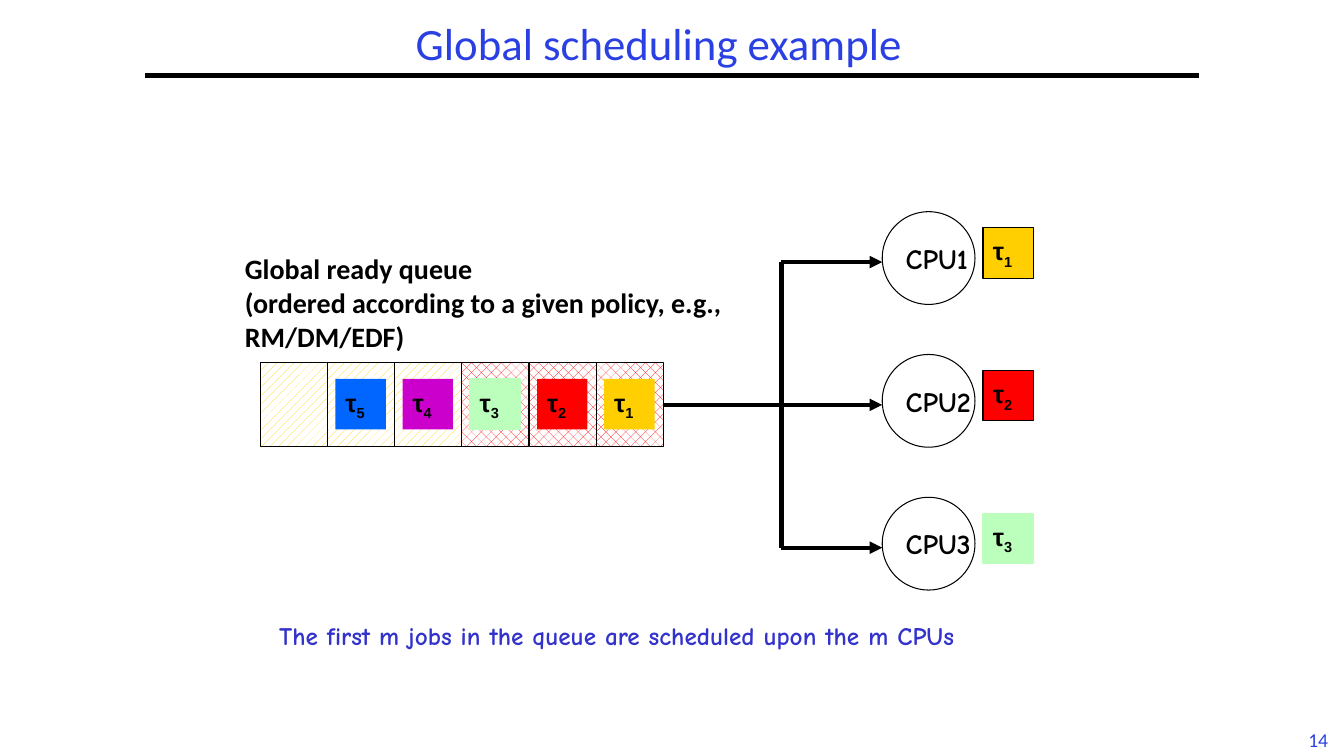
"""Build a slide on global scheduling: one ready queue that feeds three CPUs."""
from dataclasses import dataclass
from typing import Optional

from lxml.etree import SubElement
from pptx import Presentation
from pptx.dml.color import RGBColor as Rgb
from pptx.enum.dml import MSO_PATTERN as Pattern
from pptx.enum.shapes import MSO_CONNECTOR as Link, MSO_SHAPE as Form
from pptx.enum.text import MSO_ANCHOR as Anchor, PP_ALIGN as Align
from pptx.oxml.ns import qn
from pptx.util import Inches, Pt

COLORS = {
    "black": "000000", "white": "FFFFFF", "title": "2A40E2", "note": "3333CC",
    "gold": "FFCF01", "red": "FF0000", "mint": "BCFFBC",
    "purple": "CC00CC", "blue": "0066FF",
}
TASKS = {1: "gold", 2: "red", 3: "mint", 4: "purple", 5: "blue"}
CPUS = 3
SLOTS = 6
SLOT_W = 2 / 3
QUEUE_X, QUEUE_Y = 2.58, 3.6
CPU_X, CPU_Y, CPU_GAP = 8.75, 2.1, 17 / 12
FORK_X = 7.75


@dataclass
class Box:
    x: float
    y: float
    w: float
    h: float


@dataclass
class Label:
    text: str
    box: Box
    size: int
    font: str
    color: str
    bold: bool = False
    align: Align = Align.LEFT
    anchor: Anchor = Anchor.TOP
    wrap: bool = True
    spacing: Optional[float] = None


@dataclass
class Wire:
    x1: float
    y1: float
    x2: float
    y2: float
    arrow: bool = False


LABELS = [
    Label("14", Box(12.86, 7.17, 0.43, 0.33), 14, "Calibri", "title",
          align=Align.CENTER, wrap=False),
    Label("Global scheduling example", Box(2.58, -0.17, 7.91, 1.25), 32,
          "Calibri", "title", align=Align.CENTER, anchor=Anchor.MIDDLE, spacing=0.9),
    Label("Global ready queue\n(ordered according to a given policy, e.g., RM/DM/EDF)",
          Box(2.33, 2.45, 5.17, 1.11), 20, "Calibri", "black", bold=True),
    Label("The first m jobs in the queue are scheduled upon the m CPUs",
          Box(2.67, 6.1, 8, 0.4), 18, "Comic Neue", "note", bold=True),
]


def tint(name: str) -> Rgb:
    """Return the named colour."""
    return Rgb.from_string(COLORS[name])


def style(frame, size: int, font: str, color: str, bold: bool) -> None:
    """Format every run of a text frame."""
    for para in frame.paragraphs:
        for run in para.runs:
            run.font.size = Pt(size)
            run.font.name = font
            run.font.bold = bold
            run.font.color.rgb = tint(color)


def add_label(slide, label: Label) -> None:
    """Add a text box."""
    box = label.box
    shape = slide.shapes.add_textbox(*map(Inches, (box.x, box.y, box.w, box.h)))
    frame = shape.text_frame
    frame.text = label.text
    frame.word_wrap = label.wrap
    frame.vertical_anchor = label.anchor
    for para in frame.paragraphs:
        para.alignment = label.align
        para.line_spacing = label.spacing
    style(frame, label.size, label.font, label.color, label.bold)


def add_form(slide, form: Form, box: Box, fill: str, line: Optional[str] = "black"):
    """Add a plain filled shape whose text starts at the left."""
    shape = slide.shapes.add_shape(form, *map(Inches, (box.x, box.y, box.w, box.h)))
    shape.shadow.inherit = False
    shape.fill.solid()
    shape.fill.fore_color.rgb = tint(fill)
    if line:
        shape.line.color.rgb = tint(line)
        shape.line.width = Pt(0.75)
    else:
        shape.line.fill.background()
    frame = shape.text_frame
    frame.word_wrap = False
    frame.vertical_anchor = Anchor.MIDDLE
    frame.paragraphs[0].alignment = Align.LEFT
    return shape


def add_task(slide, task: int, x: float, y: float, line: Optional[str]) -> None:
    """Add the coloured tile of one task."""
    edge = "mint" if TASKS[task] == "mint" else line
    shape = add_form(slide, Form.RECTANGLE, Box(x, y, 0.5, 0.5), TASKS[task], edge)
    para = shape.text_frame.paragraphs[0]
    para.text = "τ"
    index = para.add_run()
    index.text = str(task)
    style(shape.text_frame, 18, "Arial", "black", True)
    index._r.get_or_add_rPr().set("baseline", "-25000")


def add_slot(slide, place: int) -> None:
    """Add one queue slot, with its task if it holds one."""
    x = QUEUE_X + place * SLOT_W
    task = SLOTS - place
    shape = add_form(slide, Form.RECTANGLE, Box(x, QUEUE_Y, SLOT_W, 0.83), "white")
    chosen = task <= CPUS
    shape.fill.patterned()
    shape.fill.pattern = Pattern.PERCENT_30 if chosen else Pattern.PERCENT_20
    shape.fill.fore_color.rgb = tint("red" if chosen else "gold")
    shape.fill.back_color.rgb = tint("white")
    if task in TASKS:
        add_task(slide, task, x + 0.08, QUEUE_Y + 0.16, None)


def add_cpu(slide, row: int) -> None:
    """Add one CPU and the task it runs."""
    y = CPU_Y + row * CPU_GAP
    shape = add_form(slide, Form.OVAL, Box(CPU_X, y, 0.92, 0.92), "white")
    shape.text_frame.text = f"CPU{row + 1}"
    style(shape.text_frame, 20, "Comic Neue", "black", True)
    add_task(slide, row + 1, CPU_X + 1, y + 0.16, "black")


def add_wire(slide, wire: Wire) -> None:
    """Add a thick black line, with an arrowhead if asked."""
    ends = map(Inches, (wire.x1, wire.y1, wire.x2, wire.y2))
    link = slide.shapes.add_connector(Link.STRAIGHT, *ends)
    link.line.color.rgb = tint("black")
    link.line.width = Pt(3)
    if wire.arrow:
        SubElement(link.line._get_or_add_ln(), qn("a:tailEnd"), type="triangle")
    SubElement(link._element.spPr, qn("a:effectLst"))


def main() -> None:
    """Draw the slide and save it."""
    deck = Presentation()
    deck.slide_width, deck.slide_height = Inches(13.33), Inches(7.5)
    slide = deck.slides.add_slide(deck.slide_layouts[6])
    rows = [CPU_Y + 0.5 + row * CPU_GAP for row in range(CPUS)]
    starts = [FORK_X, QUEUE_X + SLOTS * SLOT_W, FORK_X]
    wires = [Wire(1.44, 0.75, 11.89, 0.75), Wire(FORK_X, rows[0], FORK_X, rows[-1])]
    wires += [Wire(x, y, CPU_X, y, True) for x, y in zip(starts, rows)]
    for label in LABELS:
        add_label(slide, label)
    for row in range(CPUS):
        add_cpu(slide, row)
    for wire in wires:
        add_wire(slide, wire)
    for place in range(SLOTS):
        add_slot(slide, place)
    deck.save("out.pptx")


if __name__ == "__main__":
    main()
